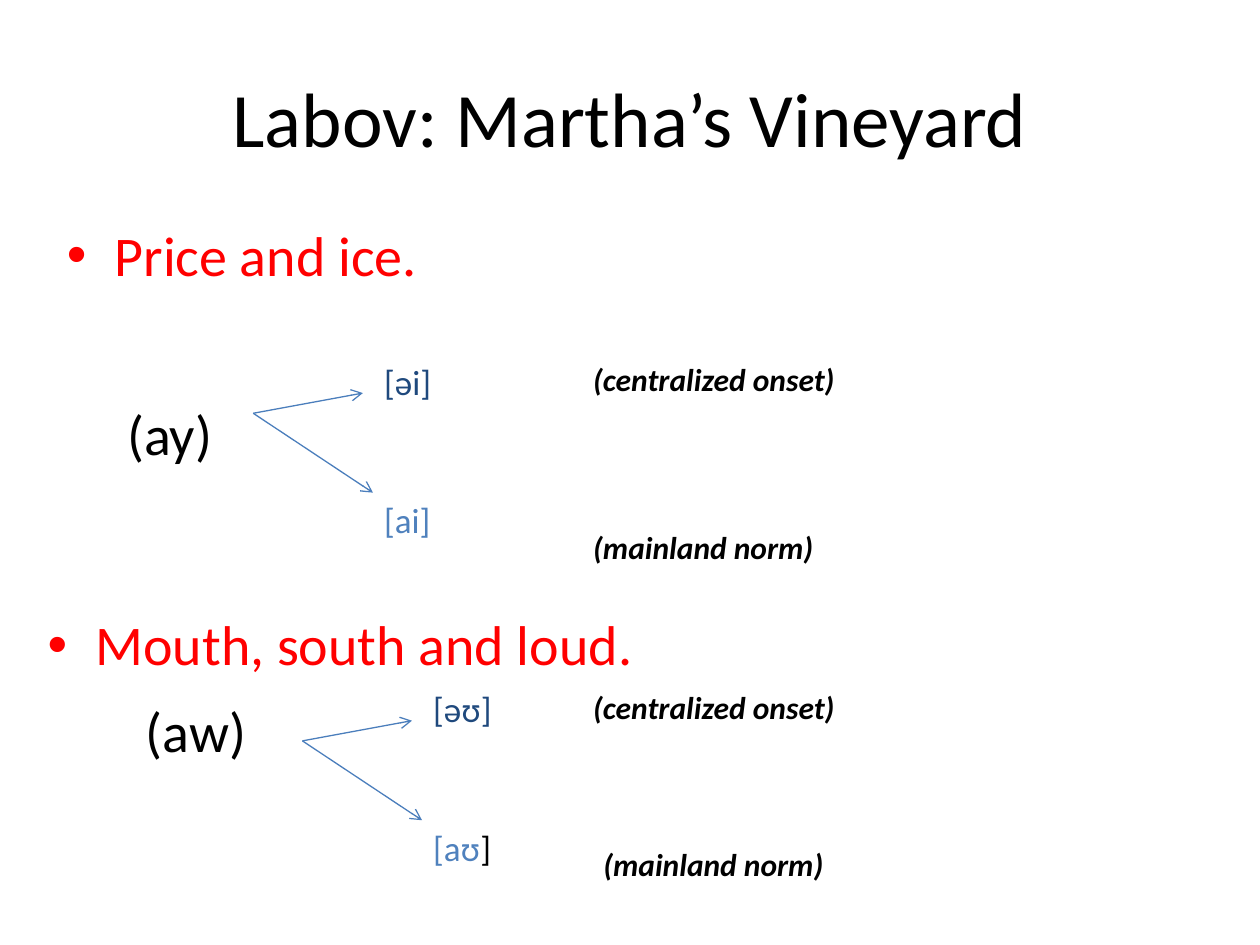
from lxml import etree
from pptx import Presentation
from pptx.dml.color import RGBColor
from pptx.enum.shapes import MSO_CONNECTOR
from pptx.enum.text import MSO_ANCHOR, MSO_AUTO_SIZE, PP_ALIGN
from pptx.oxml.ns import qn
from pptx.util import Inches, Pt

STRAIGHT = MSO_CONNECTOR.STRAIGHT
MIDDLE = MSO_ANCHOR.MIDDLE
CENTER = PP_ALIGN.CENTER
NO_FIT = MSO_AUTO_SIZE.NONE
GROW = MSO_AUTO_SIZE.SHAPE_TO_FIT_TEXT

FONT = "Calibri"
BLACK, RED, NAVY, BLUE, ARROW = "000000", "FF0000", "1F497D", "4F81BD", "4B7EBC"


def color(value):
    return RGBColor.from_string(value)


class SlideBuilder:
    def __init__(self, slide):
        self.slide = slide

    def place(self, shape, left, top, width, height):
        shape.left, shape.top = Inches(left), Inches(top)
        shape.width, shape.height = Inches(width), Inches(height)

    def style(self, para, size, fill, emphasis=False):
        for span in para.runs:
            font = span.font
            font.name, font.size = FONT, Pt(size)
            font.color.rgb = color(fill)
            if emphasis:
                font.bold = font.italic = True

    def title(self, text, *place):
        shape = self.slide.shapes.title
        self.place(shape, *place)
        frame = shape.text_frame
        frame.text = text
        frame.vertical_anchor = MIDDLE
        frame.paragraphs[0].alignment = CENTER
        self.style(frame.paragraphs[0], 44, BLACK)

    def bullet(self, shape, text, *place):
        self.place(shape, *place)
        frame = shape.text_frame
        frame.text = text
        frame.word_wrap = True
        frame.auto_size = NO_FIT
        para = frame.paragraphs[0]
        para.space_before = Pt(6.4)
        self.style(para, 32, RED)
        # Hanging bullet
        properties = para._p.get_or_add_pPr()
        properties.set("marL", str(Inches(0.38)))
        properties.set("indent", str(Inches(-0.38)))
        etree.SubElement(properties, qn("a:buFont")).set("typeface", "Arial")
        etree.SubElement(properties, qn("a:buChar")).set("char", "•")
        return para

    def text_box(self):
        return self.slide.shapes.add_textbox(0, 0, 0, 0)

    def label(self, text, place, size, fill, emphasis=False, wrap=False):
        box = self.text_box()
        self.place(box, *place)
        frame = box.text_frame
        frame.text = text
        frame.word_wrap = wrap
        frame.auto_size = GROW
        self.style(frame.paragraphs[0], size, fill, emphasis)
        return frame.paragraphs[0]

    def arrow(self, start, end):
        points = [Inches(value) for value in (*start, *end)]
        line = self.slide.shapes.add_connector(STRAIGHT, *points)
        line.line.color.rgb = color(ARROW)
        line.line.width = Pt(0.75)
        etree.SubElement(line.line._get_or_add_ln(), qn("a:tailEnd")).set("type", "arrow")
        etree.SubElement(line._element.spPr, qn("a:effectLst"))

    def fork(self, left, top):
        """Two arrows from one point to the two variants."""
        for across, down in ((0.87, -0.16), (0.95, 0.63)):
            self.arrow((left, top), (left + across, top + down))

    def variable(self, name, place, fork, variants, norm_at):
        """A variable, its two variants and their notes."""
        left, top = fork
        central, mainland = variants
        variant_left, variant_top = left + 0.94, top - 0.47
        self.label(name, place, 32, BLACK)
        self.fork(left, top)
        self.label(central[0], (variant_left, variant_top, central[1], 0.44), 20, NAVY)
        last = self.label(mainland[0], (variant_left, variant_top + 1.1, mainland[1], 0.44),
                          20, BLUE, wrap=mainland[2])
        self.label("(centralized onset)", (4.61, variant_top, 2.14, 0.4), 18, BLACK, True)
        self.label("(mainland norm)", (*norm_at, 1.96, 0.4), 18, BLACK, True)
        return last


def main():
    deck = Presentation()
    deck.slide_width, deck.slide_height = Inches(10), Inches(7.5)
    slide = deck.slides.add_slide(deck.slide_layouts[1])
    builder = SlideBuilder(slide)

    # Title
    builder.title("Labov: Martha’s Vineyard", 0.5, 0.3, 9, 1.25)

    # First variable
    builder.bullet(slide.placeholders[1], "Price and ice.", 0.43, 1.7, 9, 0.58)
    builder.variable("(ay)", (0.91, 3.12, 0.89, 0.64), (2.01, 3.28),
                     (("[əi]", 0.58), ("[ai]", 0.57, False)), (4.61, 4.14))

    # Second variable
    para = builder.bullet(builder.text_box(), "Mouth, south and loud.", 0.28, 4.85, 9, 0.58)
    para.line_spacing = 0.9
    variant = builder.variable("(aw)", (1.06, 5.48, 1.01, 0.64), (2.4, 5.88),
                               (("[əʊ]", 0.67), ("[aʊ", 0.94, True)), (4.69, 6.66))

    # Black closing bracket
    bracket = variant.add_run()
    bracket.text = "]"
    bracket.font.name, bracket.font.size = FONT, Pt(20)
    bracket.font.color.rgb = color(BLACK)

    deck.save("out.pptx")


if __name__ == "__main__":
    main()
